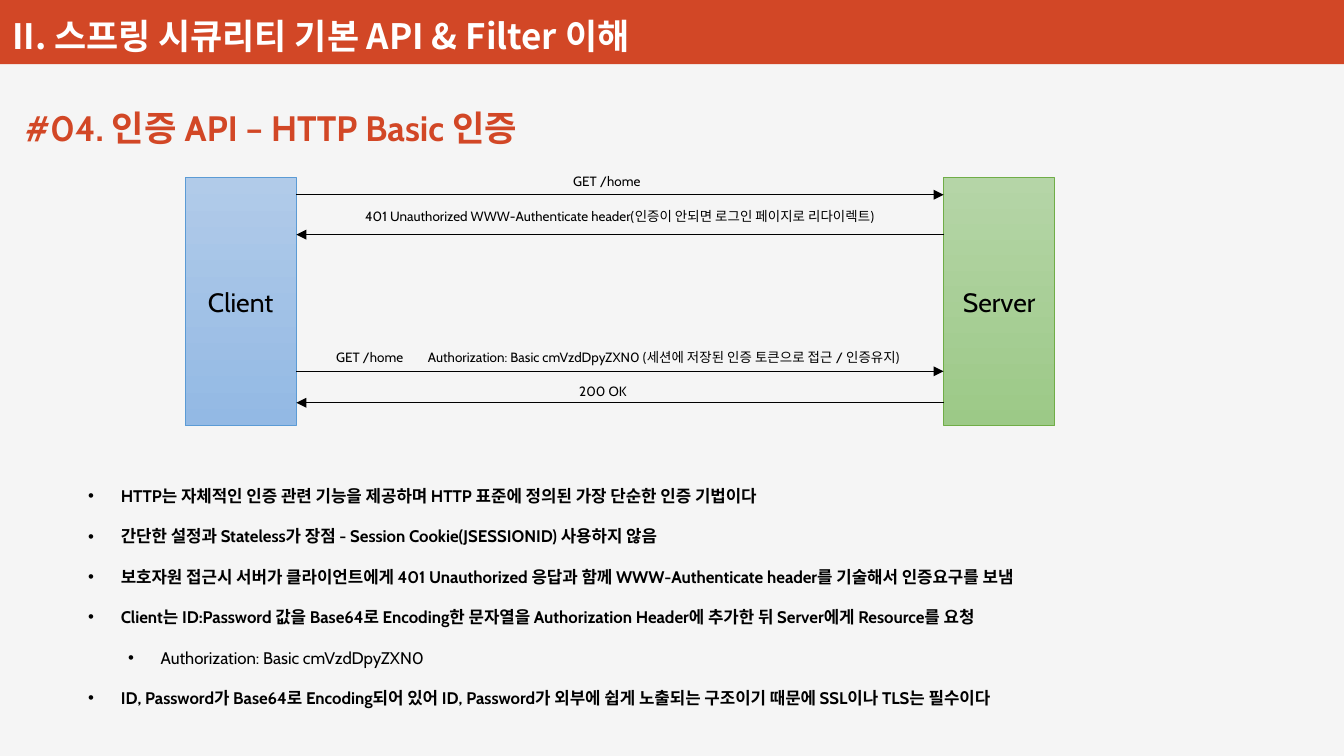
from dataclasses import dataclass

from lxml.etree import SubElement
from pptx import Presentation
from pptx.dml.color import RGBColor
from pptx.enum.shapes import MSO_CONNECTOR, MSO_SHAPE
from pptx.enum.text import MSO_ANCHOR, MSO_AUTO_SIZE, PP_ALIGN
from pptx.oxml.ns import qn
from pptx.util import Inches, Pt

TITLE = "II. 스프링 시큐리티 기본 API & Filter 이해"
HEADING = "#04. 인증 API – HTTP Basic 인증"

# name, gradient top, gradient bottom, outline
ACTORS = [
    ("Client", "B1CBE9", "93B9E4", "5B9BD5"),
    ("Server", "B5D5A7", "9CC987", "70AD47"),
]
# text, label box (left, top, width, height), arrow height, whether it goes to the server
MESSAGES = [
    ("GET /home", (4.64, 1.38, 0.9, 0.2), 1.61, True),
    ("401 Unauthorized WWW-Authenticate header(인증이 안되면 로그인 페이지로 리다이렉트)",
     (2.92, 1.67, 4.8, 0.2), 1.94, False),
    ("GET /home\tAuthorization: Basic cmVzdDpyZXN0 (세션에 저장된 인증 토큰으로 접근 / 인증유지)",
     (2.68, 2.84, 5.1, 0.2), 3.07, True),
    ("200 OK", (4.69, 3.12, 0.8, 0.2), 3.33, False),
]
# level, text
BULLETS = [
    (0, "HTTP는 자체적인 인증 관련 기능을 제공하며 HTTP 표준에 정의된 가장 단순한 인증 기법이다"),
    (0, "간단한 설정과 Stateless가 장점 - Session Cookie(JSESSIONID) 사용하지 않음"),
    (0, "보호자원 접근시 서버가 클라이언트에게 401 Unauthorized 응답과 함께 "
        "WWW-Authenticate header를 기술해서 인증요구를 보냄"),
    (0, "Client는 ID:Password 값을 Base64로 Encoding한 문자열을 "
        "Authorization Header에 추가한 뒤 Server에게 Resource를 요청"),
    (1, "Authorization: Basic cmVzdDpyZXN0"),
    (0, "ID, Password가 Base64로 Encoding되어 있어 ID, Password가 외부에 쉽게 "
        "노출되는 구조이기 때문에 SSL이나 TLS는 필수이다"),
]


@dataclass(frozen=True)
class Theme:
    latin: str = "Cabin"
    korean: str = "Noto Sans CJK KR"
    accent: str = "D24726"
    paper: str = "F5F5F5"
    ink: str = "000000"
    white: str = "FFFFFF"
    title: float = 20.8
    heading: float = 21
    actor: float = 15.8
    body: float = 10
    label: float = 8
    line: float = 0.5


T = Theme()
WIDTH, HEIGHT = 11.11, 6.25
BAND = 0.53
ACTOR_TOP, ACTOR_W, ACTOR_H = 1.47, 0.92, 2.05
CLIENT_LEFT, SERVER_LEFT = 1.53, 7.8
CLIENT_EDGE = CLIENT_LEFT + ACTOR_W
HANG, LEVEL_STEP = 0.27, 0.33
LABEL_TAB = 0.76


def rgb(value):
    return RGBColor.from_string(value)


def style(p, size, color=T.ink, bold=False, latin=T.latin):
    for r in p.runs:
        r.font.size, r.font.bold, r.font.name = Pt(size), bold, latin
        r.font.color.rgb = rgb(color)
        SubElement(r.font._element, qn("a:ea"), typeface=T.korean)


def add_text(s, box, wrap=False):
    tf = s.shapes.add_textbox(*map(Inches, box)).text_frame
    tf.word_wrap = wrap
    return tf


def add_rect(s, box):
    sp = s.shapes.add_shape(MSO_SHAPE.RECTANGLE, *map(Inches, box))
    sp.shadow.inherit = False
    return sp


def add_header(s):
    band = add_rect(s, (0, 0, WIDTH, BAND))
    band.fill.solid()
    band.fill.fore_color.rgb = rgb(T.accent)
    band.line.fill.background()

    tf = add_text(s, (0.01, 0, 6.17, 0.51), wrap=True)
    tf.vertical_anchor = MSO_ANCHOR.BOTTOM
    tf.margin_left = tf.margin_right = Inches(0.09)
    tf.margin_top = tf.margin_bottom = Inches(0.04)
    tf.text = TITLE
    style(tf.paragraphs[0], T.title, T.white, True, T.korean)

    tf = add_text(s, (0.11, 0.83, 4.71, 0.45))
    tf.auto_size = MSO_AUTO_SIZE.SHAPE_TO_FIT_TEXT
    tf.text = HEADING
    style(tf.paragraphs[0], T.heading, T.accent, True)


def add_actor(s, left, name, top_color, bottom_color, outline):
    sp = add_rect(s, (left, ACTOR_TOP, ACTOR_W, ACTOR_H))
    sp.fill.gradient()
    sp.fill.gradient_angle = 270
    for stop, color in zip(sp.fill.gradient_stops, (top_color, bottom_color)):
        stop.color.rgb = rgb(color)
    sp.line.color.rgb, sp.line.width = rgb(outline), Pt(T.line)
    tf = sp.text_frame
    tf.vertical_anchor = MSO_ANCHOR.MIDDLE
    tf.text = name
    tf.paragraphs[0].alignment = PP_ALIGN.CENTER
    style(tf.paragraphs[0], T.actor)


def add_message(s, text, box, y, to_server):
    start, end = (CLIENT_EDGE, SERVER_LEFT) if to_server else (SERVER_LEFT, CLIENT_EDGE)
    arrow = s.shapes.add_connector(MSO_CONNECTOR.STRAIGHT, *map(Inches, (start, y, end, y)))
    arrow.line.color.rgb, arrow.line.width = rgb(T.ink), Pt(T.line)
    SubElement(arrow.line._get_or_add_ln(), qn("a:tailEnd"), type="triangle")
    SubElement(arrow._element.spPr, qn("a:effectLst"))

    tf = add_text(s, box, wrap=True)
    tf.text = text
    p = tf.paragraphs[0]
    if "\t" in text:
        tabs = SubElement(p._p.get_or_add_pPr(), qn("a:tabLst"))
        SubElement(tabs, qn("a:tab"), pos=str(Inches(LABEL_TAB)), algn="l")
    style(p, T.label)


def add_bullets(s):
    tf = add_text(s, (0.63, 3.8, 9.95, 2.12), wrap=True)
    tf.auto_size = MSO_AUTO_SIZE.SHAPE_TO_FIT_TEXT
    for i, (level, text) in enumerate(BULLETS):
        p = tf.add_paragraph() if i else tf.paragraphs[0]
        p.text, p.level, p.line_spacing = text, level, 2.0
        pPr = p._p.get_or_add_pPr()
        pPr.set("marL", str(Inches(HANG + level * LEVEL_STEP)))
        pPr.set("indent", str(-Inches(HANG)))
        SubElement(pPr, qn("a:buFont"), typeface="Arial")
        SubElement(pPr, qn("a:buChar"), char="•")
        style(p, T.body, bold=level == 0)


def main():
    prs = Presentation()
    prs.slide_width, prs.slide_height = Inches(WIDTH), Inches(HEIGHT)
    s = prs.slides.add_slide(prs.slide_layouts[6])
    s.background.fill.solid()
    s.background.fill.fore_color.rgb = rgb(T.paper)

    add_header(s)
    add_bullets(s)
    for left, actor in zip((CLIENT_LEFT, SERVER_LEFT), ACTORS):
        add_actor(s, left, *actor)
    for message in MESSAGES:
        add_message(s, *message)
    prs.save("out.pptx")


if __name__ == "__main__":
    main()
